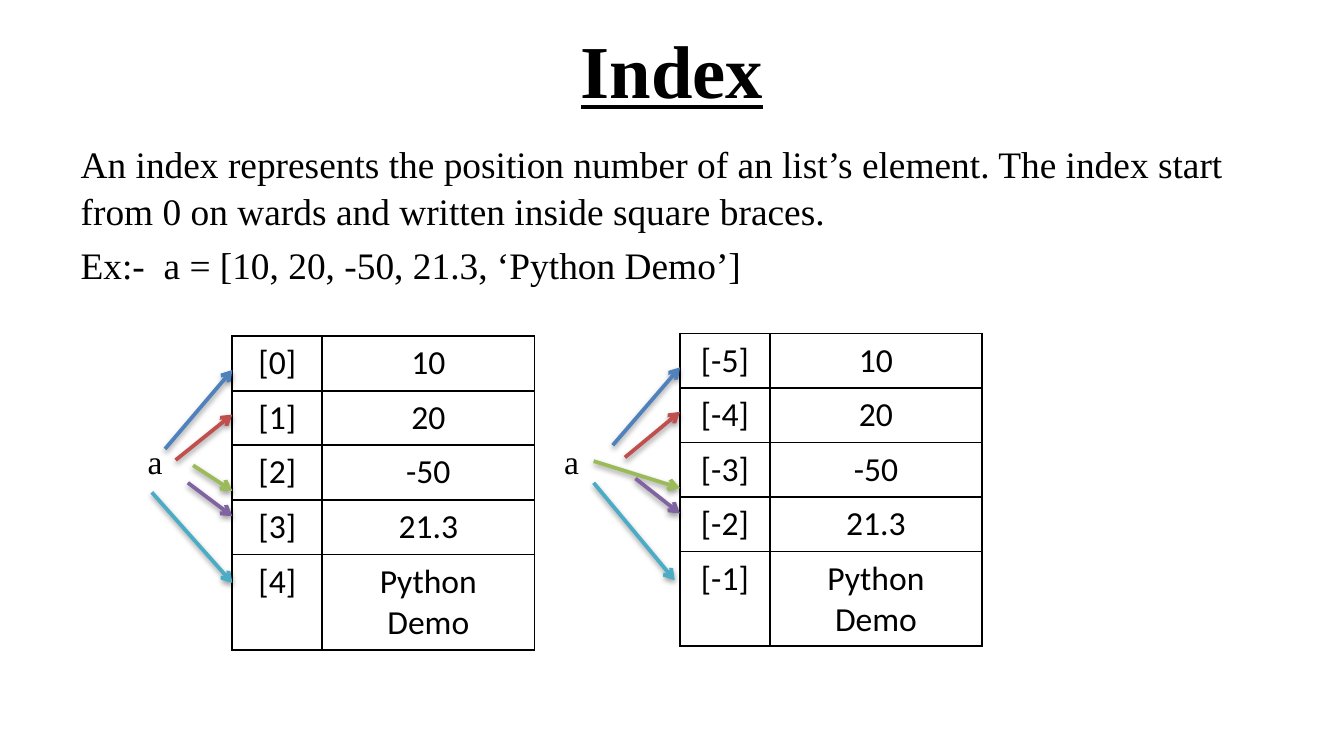
from dataclasses import dataclass

from lxml import etree
from pptx import Presentation
from pptx import util as u
from pptx.dml import color
from pptx.enum import shapes, text
from pptx.oxml import ns, xmlchemy


@dataclass(frozen=True)
class Theme:
    ink: str = "000000"
    arrows: tuple = ("4F81BD", "C0504D", "9BBB59", "8064A2", "4BACC6")
    serif: str = "Times New Roman"
    sans: str = "Calibri"
    title_size: int = 40
    body_size: int = 20
    label_size: int = 18


@dataclass(frozen=True)
class Box:
    left: float
    top: float
    width: float
    height: float

    def lengths(self):
        return [u.Cm(n) for n in (self.left, self.top, self.width, self.height)]


THEME = Theme()
VALUES = ("10", "20", "-50", "21.3", "Python Demo")
COLUMN_WIDTHS = (1.7, 4.01)
ROW_HEIGHTS = (1.03, 1.03, 1.03, 1.03, 1.76)
TIP_HEIGHTS = (0.64, 1.48, 2.92, 3.4, 4.66)


def add_run(paragraph, words, font_name, size, **style):
    run = paragraph.add_run()
    run.text = words
    run.font.name = font_name
    run.font.size = u.Pt(size)
    run.font.color.rgb = color.RGBColor.from_string(THEME.ink)
    for key, value in style.items():
        setattr(run.font, key, value)


def place(placeholder, box):
    placeholder.left, placeholder.top, placeholder.width, placeholder.height = box.lengths()
    placeholder.text_frame.auto_size = text.MSO_AUTO_SIZE.NONE
    return placeholder.text_frame


def fill_heading(slide, box):
    frame = place(slide.shapes.title, box)
    frame.vertical_anchor = text.MSO_ANCHOR.MIDDLE
    heading = frame.paragraphs[0]
    heading.alignment = text.PP_ALIGN.CENTER
    add_run(heading, "Index", THEME.serif, THEME.title_size, bold=True, underline=True)


def fill_explanation(slide, box, sentences):
    frame = place(slide.placeholders[1], box)
    for number, sentence in enumerate(sentences):
        paragraph = frame.add_paragraph() if number else frame.paragraphs[0]
        properties = paragraph._p.get_or_add_pPr()
        properties.set("marL", "0")
        properties.set("indent", "0")
        etree.SubElement(properties, ns.qn("a:buNone"))
        paragraph.space_before = u.Pt(4 if number else 0)
        paragraph.line_spacing = 1.05
        add_run(paragraph, sentence, THEME.serif, THEME.body_size)


def outline_cell(cell):
    properties = cell._tc.get_or_add_tcPr()
    for position, side in enumerate(("lnL", "lnR", "lnT", "lnB")):
        border = etree.Element(ns.qn(f"a:{side}"), w=str(u.Pt(1)))
        solid = etree.SubElement(border, ns.qn("a:solidFill"))
        etree.SubElement(solid, ns.qn("a:srgbClr"), val=THEME.ink)
        properties.insert(position, border)


def add_index_table(slide, box, indices):
    table = slide.shapes.add_table(len(VALUES), 2, *box.lengths()).table
    table.first_row = table.horz_banding = False
    for column, width in zip(table.columns, COLUMN_WIDTHS):
        column.width = u.Cm(width)
    for row, height, entries in zip(table.rows, ROW_HEIGHTS, zip(indices, VALUES)):
        row.height = u.Cm(height)
        for cell, entry in zip(row.cells, entries):
            cell.fill.background()
            outline_cell(cell)
            paragraph = cell.text_frame.paragraphs[0]
            paragraph.alignment = text.PP_ALIGN.CENTER
            add_run(paragraph, entry, THEME.sans, THEME.label_size)


def add_list_name(slide, box):
    frame = slide.shapes.add_textbox(*box.lengths()).text_frame
    frame.word_wrap = False
    frame.auto_size = text.MSO_AUTO_SIZE.SHAPE_TO_FIT_TEXT
    add_run(frame.paragraphs[0], "a", THEME.serif, THEME.label_size)


def add_arrow(slide, start, tip, hue):
    arrow = slide.shapes.add_connector(
        shapes.MSO_CONNECTOR.STRAIGHT, *[u.Cm(n) for n in (*start, *tip)]
    )
    arrow.line.width = u.Pt(2)
    arrow.line.color.rgb = color.RGBColor.from_string(hue)
    etree.SubElement(arrow.line._get_or_add_ln(), ns.qn("a:tailEnd"), type="arrow")
    effects = etree.SubElement(arrow._element.spPr, ns.qn("a:effectLst"))
    shadow = etree.SubElement(
        effects, ns.qn("a:outerShdw"), blurRad=str(u.Pt(3.1)),
        dist=str(u.Pt(1.6)), dir="5400000", rotWithShape="0",
    )
    tint = etree.SubElement(shadow, ns.qn("a:srgbClr"), val=THEME.ink)
    etree.SubElement(tint, ns.qn("a:alpha"), val="38000")


def add_index_diagram(slide, box, indices, name_offset, starts, last_gap=0):
    add_index_table(slide, box, indices)
    name_x, name_y = name_offset
    add_list_name(slide, Box(box.left + name_x, box.top + name_y, 0.79, 1.02))
    gaps = (0, 0, 0, 0, last_gap)
    for (x, y), tip, gap, hue in zip(starts, TIP_HEIGHTS, gaps, THEME.arrows):
        add_arrow(
            slide, (box.left + x, box.top + y), (box.left - gap, box.top + tip), hue
        )


def main():
    deck = Presentation()
    deck.slide_width, deck.slide_height = u.Cm(25.4), u.Cm(14.28)
    slide = deck.slides.add_slide(deck.slide_layouts[1])
    fill_heading(slide, Box(1.27, 0.1, 22.86, 2.39))
    fill_explanation(slide, Box(1.27, 2.49, 22.86, 9.42), (
        "An index represents the position number of an list’s element. "
        "The index start from 0 on wards and written inside square braces.",
        "Ex:-  a = [10, 20, -50, 21.3, ‘Python Demo’]",
    ))
    width, height = sum(COLUMN_WIDTHS), sum(ROW_HEIGHTS)
    count = len(VALUES)
    add_index_diagram(
        slide, Box(4.39, 6.35, width, height),
        [f"[{n}]" for n in range(count)], (-1.85, 1.85),
        ((-1.27, 2.13), (-1.07, 2.34), (-0.74, 2.44), (-0.84, 2.77), (-1.52, 2.95)),
    )
    add_index_diagram(
        slide, Box(12.85, 6.3, width, height),
        [f"[{n}]" for n in range(-count, 0)], (-2.44, 1.9),
        ((-1.27, 2.11), (-1.04, 2.34), (-1.63, 2.41), (-0.84, 2.74), (-1.63, 2.82)),
        last_gap=0.1,
    )
    deck.save("out.pptx")


if __name__ == "__main__":
    main()
